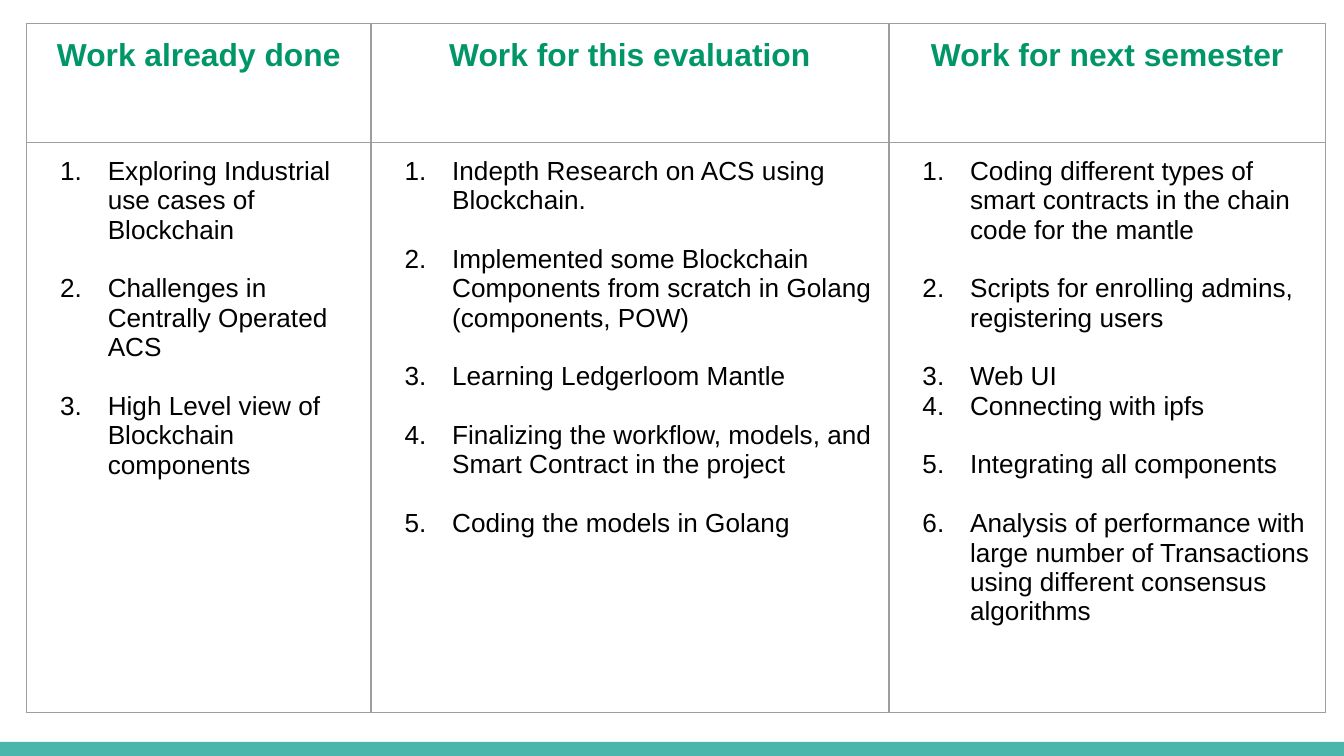
from dataclasses import dataclass

from lxml.etree import SubElement
from pptx import Presentation
from pptx.dml.color import RGBColor
from pptx.enum.shapes import MSO_SHAPE
from pptx.enum.text import PP_ALIGN
from pptx.oxml.ns import qn
from pptx.util import Emu, Pt

PX = 9525


@dataclass(frozen=True)
class Theme:
    font: str = "Arial"
    heading: str = "009668"
    body: str = "000000"
    border: str = "9E9E9E"
    bar: str = "4DB6AC"
    heading_size: int = 17
    body_size: int = 14
    item_gap: float = 15.7
    border_width: float = 0.75


@dataclass(frozen=True)
class Item:
    text: str
    gap: bool = True


@dataclass(frozen=True)
class Column:
    title: str
    width: int
    items: tuple[Item, ...]


THEME = Theme()
SLIDE_W, SLIDE_H = 960, 540
TABLE_X, TABLE_Y = 19, 17
ROW_HEIGHTS = (85, 407)
BAR_H = 10
CELL_MARGIN = 10
INDENT, HANGING = 48, -34

COLUMNS = (
    Column("Work already done", 246, (
        Item("Exploring Industrial use cases of Blockchain", gap=False),
        Item("Challenges in Centrally Operated ACS"),
        Item("High Level view of Blockchain components"),
    )),
    Column("Work for this evaluation", 370, (
        Item("Indepth Research on ACS using Blockchain.", gap=False),
        Item("Implemented some Blockchain Components from scratch in Golang (components, POW)"),
        Item("Learning Ledgerloom Mantle"),
        Item("Finalizing the workflow, models, and Smart Contract in the project"),
        Item("Coding the models in Golang"),
    )),
    Column("Work for next semester", 312, (
        Item("Coding different types of smart contracts in the chain code for the mantle", gap=False),
        Item("Scripts for enrolling admins, registering users"),
        Item("Web UI"),
        Item("Connecting with ipfs", gap=False),
        Item("Integrating all components"),
        Item("Analysis of performance with large number of Transactions using different consensus algorithms"),
    )),
)


def px(n: int) -> Emu:
    return Emu(n * PX)


def set_font(p, size: int, color: str, bold: bool) -> None:
    p.font.name = THEME.font
    p.font.size = Pt(size)
    p.font.bold = bold
    p.font.color.rgb = RGBColor.from_string(color)


def style_cell(cell) -> None:
    tc_pr = cell._tc.get_or_add_tcPr()
    for side in ("lnL", "lnR", "lnT", "lnB"):
        ln = SubElement(tc_pr, qn(f"a:{side}"), w=str(Pt(THEME.border_width)))
        fill = SubElement(ln, qn("a:solidFill"))
        SubElement(fill, qn("a:srgbClr"), val=THEME.border)
    cell.fill.background()
    cell.margin_left = cell.margin_right = px(CELL_MARGIN)
    cell.margin_top = cell.margin_bottom = px(CELL_MARGIN)


def number_paragraph(p) -> None:
    p_pr = p._p.get_or_add_pPr()
    p_pr.set("marL", str(px(INDENT)))
    p_pr.set("indent", str(px(HANGING)))
    color = SubElement(p_pr, qn("a:buClr"))
    SubElement(color, qn("a:srgbClr"), val=THEME.body)
    SubElement(p_pr, qn("a:buFont"), typeface=THEME.font)
    SubElement(p_pr, qn("a:buAutoNum"), type="arabicPeriod")


def fill_heading(cell, title: str) -> None:
    style_cell(cell)
    p = cell.text_frame.paragraphs[0]
    p.text = title
    p.alignment = PP_ALIGN.CENTER
    set_font(p, THEME.heading_size, THEME.heading, True)


def fill_list(cell, items: tuple[Item, ...]) -> None:
    style_cell(cell)
    tf = cell.text_frame
    for i, item in enumerate(items):
        p = tf.add_paragraph() if i else tf.paragraphs[0]
        p.text = item.text
        number_paragraph(p)
        p.space_before = Pt(THEME.item_gap if item.gap else 0)
        set_font(p, THEME.body_size, THEME.body, False)


def add_bar(s) -> None:
    sp = s.shapes.add_shape(MSO_SHAPE.RECTANGLE, 0, px(SLIDE_H - BAR_H),
                            px(SLIDE_W), px(BAR_H))
    sp.shadow.inherit = False
    sp.fill.solid()
    sp.fill.fore_color.rgb = RGBColor.from_string(THEME.bar)
    sp.line.fill.background()


def add_work_table(s, columns: tuple[Column, ...]) -> None:
    width = sum(column.width for column in columns)
    table = s.shapes.add_table(len(ROW_HEIGHTS), len(columns), px(TABLE_X), px(TABLE_Y),
                               px(width), px(sum(ROW_HEIGHTS))).table
    table.first_row = table.horz_banding = False
    for row, height in zip(table.rows, ROW_HEIGHTS):
        row.height = px(height)
    for i, column in enumerate(columns):
        table.columns[i].width = px(column.width)
        fill_heading(table.cell(0, i), column.title)
        fill_list(table.cell(1, i), column.items)


def main() -> None:
    prs = Presentation()
    prs.slide_width, prs.slide_height = px(SLIDE_W), px(SLIDE_H)
    s = prs.slides.add_slide(prs.slide_layouts[6])
    add_bar(s)
    add_work_table(s, COLUMNS)
    prs.save("out.pptx")


if __name__ == "__main__":
    main()
